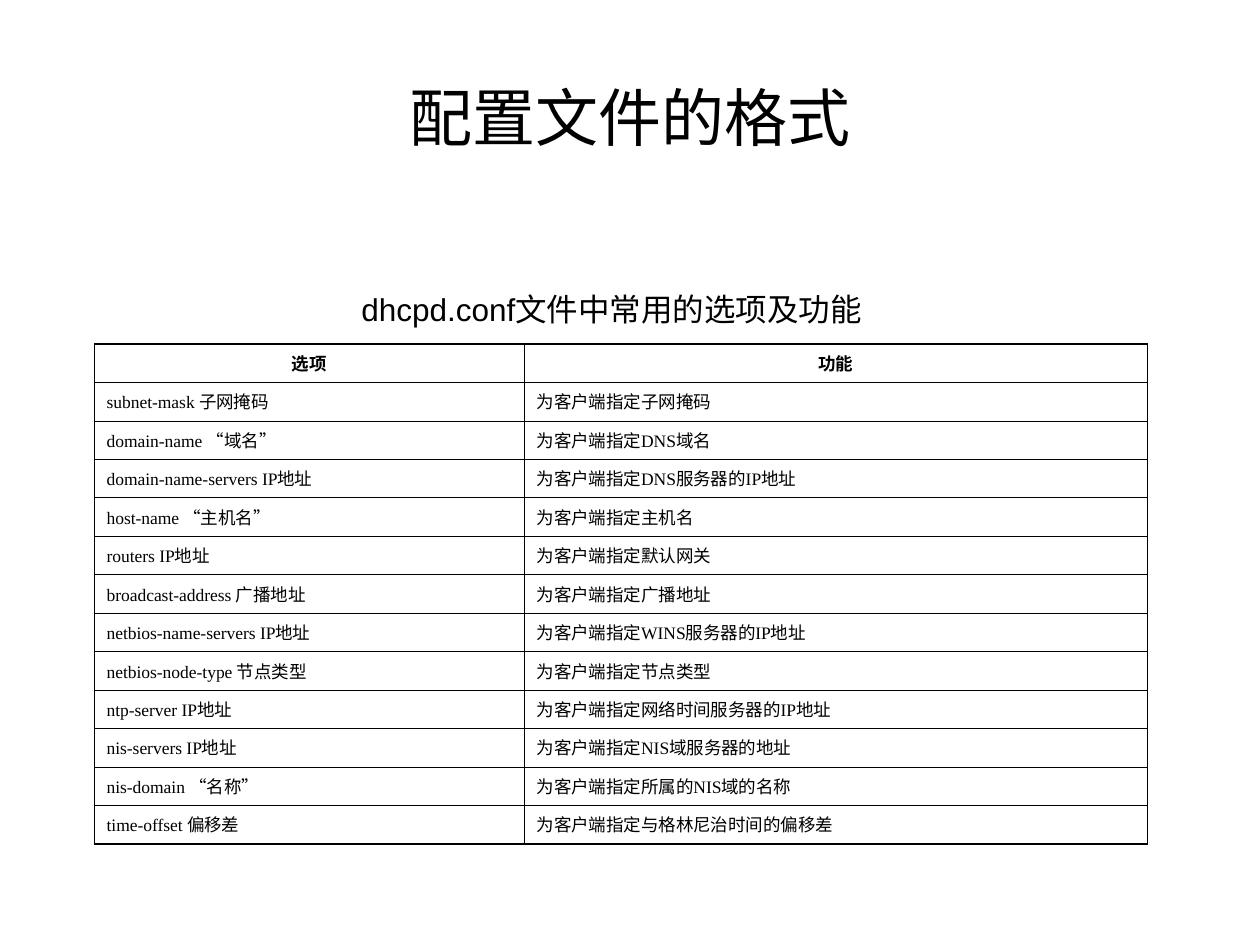
from typing import NamedTuple

from lxml import etree
from pptx import Presentation
from pptx import util as u
from pptx.dml import color
from pptx.enum import text
from pptx.oxml import ns

PX = 914400 / 126
BLACK = "000000"
MID = text.MSO_ANCHOR.MIDDLE
LEFT, CENTER = text.PP_ALIGN.LEFT, text.PP_ALIGN.CENTER
THIN, FINE, BOLD = 0.34, 0.45, 0.96


class Label(NamedTuple):
    words: str
    x: int
    y: int
    w: int
    h: int
    size: int
    align: text.PP_ALIGN
    wrap: bool


class Option(NamedTuple):
    name: str
    use: str


LABELS = [
    Label("配置文件的格式", 63, 38, 1134, 157, 36, CENTER, True),
    Label("dhcpd.conf文件中常用的选项及功能", 349, 284, 541, 50, 18, LEFT, False),
]

OPTIONS = [
    Option("选项", "功能"),
    Option("subnet-mask 子网掩码", "为客户端指定子网掩码"),
    Option("domain-name “域名”", "为客户端指定DNS域名"),
    Option("domain-name-servers IP地址", "为客户端指定DNS服务器的IP地址"),
    Option("host-name “主机名”", "为客户端指定主机名"),
    Option("routers IP地址", "为客户端指定默认网关"),
    Option("broadcast-address 广播地址", "为客户端指定广播地址"),
    Option("netbios-name-servers IP地址", "为客户端指定WINS服务器的IP地址"),
    Option("netbios-node-type 节点类型", "为客户端指定节点类型"),
    Option("ntp-server IP地址", "为客户端指定网络时间服务器的IP地址"),
    Option("nis-servers IP地址", "为客户端指定NIS域服务器的地址"),
    Option("nis-domain “名称”", "为客户端指定所属的NIS域的名称"),
    Option("time-offset 偏移差", "为客户端指定与格林尼治时间的偏移差"),
]


def px(n: float) -> u.Emu:
    return u.Emu(round(n * PX))


def rgb(code: str) -> color.RGBColor:
    return color.RGBColor.from_string(code)


def style(frame, face: str, size: int, align, bold: bool = False) -> None:
    para = frame.paragraphs[0]
    para.alignment = align
    font = para.runs[0].font
    font.name, font.size, font.bold = face, u.Pt(size), bold
    font.color.rgb = rgb(BLACK)


def write(slide, item: Label) -> None:
    box = slide.shapes.add_textbox(px(item.x), px(item.y), px(item.w), px(item.h))
    frame = box.text_frame
    frame.text = item.words
    frame.word_wrap = item.wrap
    frame.vertical_anchor = MID
    if not item.wrap:
        frame.auto_size = text.MSO_AUTO_SIZE.SHAPE_TO_FIT_TEXT
    style(frame, "Arial", item.size, item.align)


def edge(cell, side: str, width: float) -> None:
    props = cell._tc.get_or_add_tcPr()
    line = etree.SubElement(props, ns.qn(f"a:{side}"), w=str(u.Pt(width)))
    fill = etree.SubElement(line, ns.qn("a:solidFill"))
    etree.SubElement(fill, ns.qn("a:srgbClr"), val=BLACK)


def draw_grid(slide, rows: list[Option], x: int, y: int,
              widths: tuple[int, int], high: int) -> None:
    count = len(rows)
    table = slide.shapes.add_table(
        count, len(widths), px(x), px(y), px(sum(widths)), px(high)).table
    table.first_row = table.horz_banding = False
    for col, wide in zip(table.columns, widths):
        col.width = px(wide)
    for r, row in enumerate(rows):
        table.rows[r].height = px(high / count)
        head = r == 0
        for c, words in enumerate(row):
            cell = table.cell(r, c)
            cell.text = words
            style(cell.text_frame, "Times New Roman", 10,
                  CENTER if head else LEFT, head)
            edge(cell, "lnL", FINE if c else THIN)
            edge(cell, "lnR", THIN if c else FINE)
            edge(cell, "lnT", BOLD if head else FINE)
            edge(cell, "lnB", BOLD if r == count - 1 else FINE)
            cell.fill.background()


def main() -> None:
    deck = Presentation()
    deck.slide_width, deck.slide_height = px(1260), px(945)
    slide = deck.slides.add_slide(deck.slide_layouts[6])
    for item in LABELS:
        write(slide, item)
    draw_grid(slide, OPTIONS, 94, 344, (430, 623), 500)
    deck.save("out.pptx")


if __name__ == "__main__":
    main()
